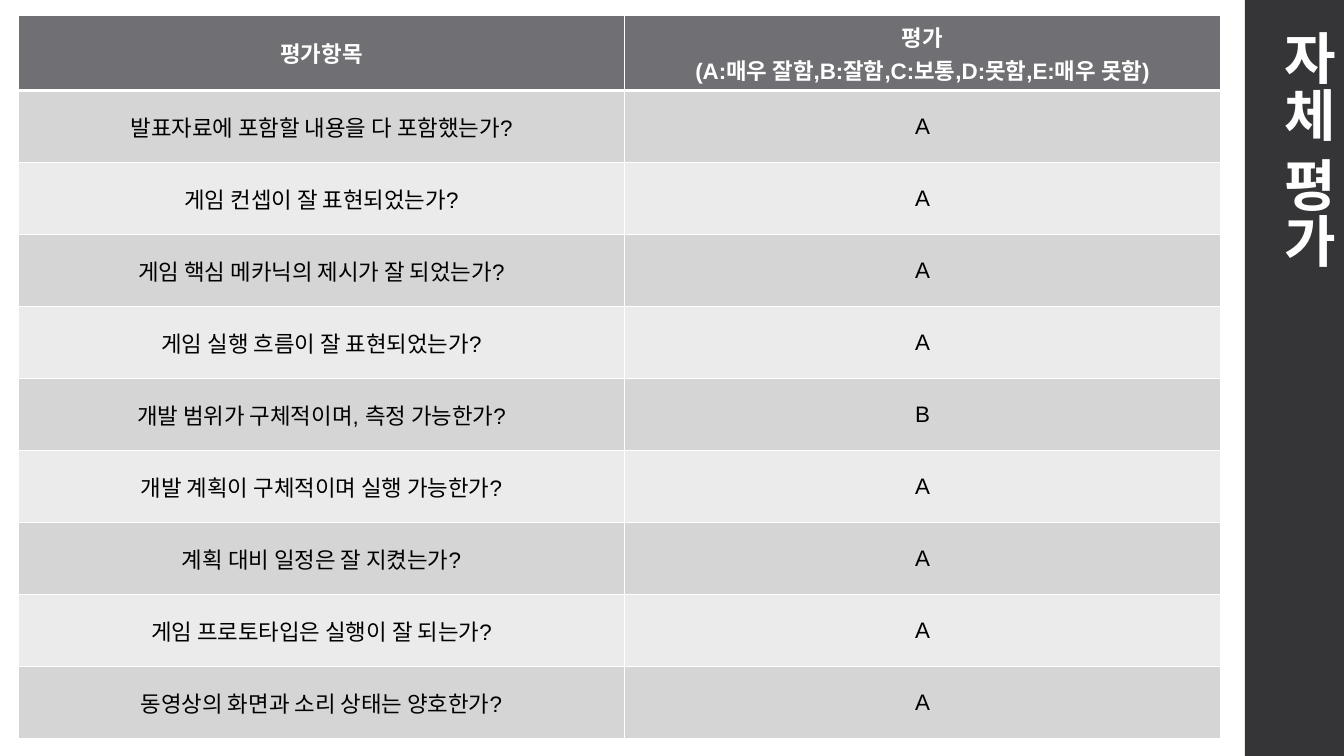
import pptx
import pptx.util
import pptx.dml.color
import pptx.enum.shapes
import pptx.enum.text
import pptx.oxml

Pt = pptx.util.Pt
Color = pptx.dml.color.RGBColor
WHITE = Color(0xFF, 0xFF, 0xFF)
CREAM = Color(0xFE, 0xFE, 0xFE)
BLACK = Color(0, 0, 0)
DARK = Color(0x35, 0x35, 0x37)
HEAD = Color(0x6F, 0x6F, 0x74)
BANDS = (Color(0xD5, 0xD5, 0xD6), Color(0xEB, 0xEB, 0xEB))
SPACE = 'xmlns:a="http://schemas.openxmlformats.org/drawingml/2006/main"'

TITLE = "자체 평가"
HEADER = ("평가항목", "평가\n(A:매우 잘함,B:잘함,C:보통,D:못함,E:매우 못함)")
ITEMS = (
    ("발표자료에 포함할 내용을 다 포함했는가?", "A"),
    ("게임 컨셉이 잘 표현되었는가?", "A"),
    ("게임 핵심 메카닉의 제시가 잘 되었는가?", "A"),
    ("게임 실행 흐름이 잘 표현되었는가?", "A"),
    ("개발 범위가 구체적이며, 측정 가능한가?", "B"),
    ("개발 계획이 구체적이며 실행 가능한가?", "A"),
    ("계획 대비 일정은 잘 지켰는가?", "A"),
    ("게임 프로토타입은 실행이 잘 되는가?", "A"),
    ("동영상의 화면과 소리 상태는 양호한가?", "A"),
)


def line(tag, width, color):
    """Return a solid line element of the given tag and width in points."""
    return pptx.oxml.parse_xml(
        f'<a:{tag} {SPACE} w="{int(Pt(width))}"><a:solidFill>'
        f'<a:srgbClr val="{color}"/></a:solidFill></a:{tag}>')


def style(font, name, size, color, bold):
    """Set the face, size, colour and weight of a font."""
    font.name = name
    font.size = Pt(size)
    font.color.rgb = color
    font.bold = bold


def fill_cell(cell, text, row):
    """Write one table cell with its borders, fill and font."""
    props = cell._tc.get_or_add_tcPr()
    widths = {"lnL": 1, "lnR": 1, "lnT": 3 if row == 1 else 1,
              "lnB": 3 if row == 0 else 1}
    for tag, width in widths.items():
        props.append(line(tag, width, WHITE))
    cell.fill.solid()
    cell.fill.fore_color.rgb = BANDS[(row - 1) % 2] if row else HEAD
    cell.vertical_anchor = pptx.enum.text.MSO_ANCHOR.MIDDLE
    cell.text = text
    for para in cell.text_frame.paragraphs:
        para.alignment = pptx.enum.text.PP_ALIGN.CENTER
        style(para.font, "Arial", 16, BLACK if row else WHITE, row == 0)


def add_grid(slide, left, top, width, height):
    """Place the table of criteria and grades in the given box."""
    rows = (HEADER,) + ITEMS
    table = slide.shapes.add_table(
        len(rows), 2, Pt(left), Pt(top), Pt(width), Pt(height)).table
    first = width * 0.504
    table.columns[0].width = Pt(first)
    table.columns[1].width = Pt(width - first)
    for row, texts in enumerate(rows):
        table.rows[row].height = Pt(height / len(rows))
        for col, text in enumerate(texts):
            fill_cell(table.cell(row, col), text, row)


def add_side(slide, left, top, width, height):
    """Place the dark side band with its vertical title."""
    band = slide.shapes.add_shape(
        pptx.enum.shapes.MSO_SHAPE.RECTANGLE,
        Pt(left), Pt(top), Pt(width), Pt(height))
    band.shadow.inherit = False
    band.fill.solid()
    band.fill.fore_color.rgb = DARK
    band.line.fill.background()

    box = slide.shapes.add_textbox(
        Pt(left + 9.4), Pt(top + 14.4), Pt(63.4), Pt(346.3))
    frame = box.text_frame
    frame.word_wrap = True
    frame._txBody.bodyPr.set("vert", "eaVert")
    run = frame.paragraphs[0].add_run()
    run.text = TITLE
    style(run.font, "Cambria", 40, CREAM, True)
    props = run._r.get_or_add_rPr()
    props.set("spc", "50")
    props.insert(0, line("ln", 0.75, HEAD))
    props.insert(2, pptx.oxml.parse_xml(
        f'<a:effectLst {SPACE}><a:outerShdw blurRad="38100" dist="25400" '
        f'dir="2700000"><a:srgbClr val="{BLACK}"><a:alpha val="60000"/>'
        '</a:srgbClr></a:outerShdw></a:effectLst>'))


def main():
    """Build the slide and save it."""
    deck = pptx.Presentation()
    deck.slide_width = Pt(960)
    deck.slide_height = Pt(540)
    slide = deck.slides.add_slide(deck.slide_layouts[6])
    add_side(slide, 889.2, 0, 72, 540)
    add_grid(slide, 13.3, 11.3, 858.6, 514.6)
    deck.save("out.pptx")


if __name__ == "__main__":
    main()
